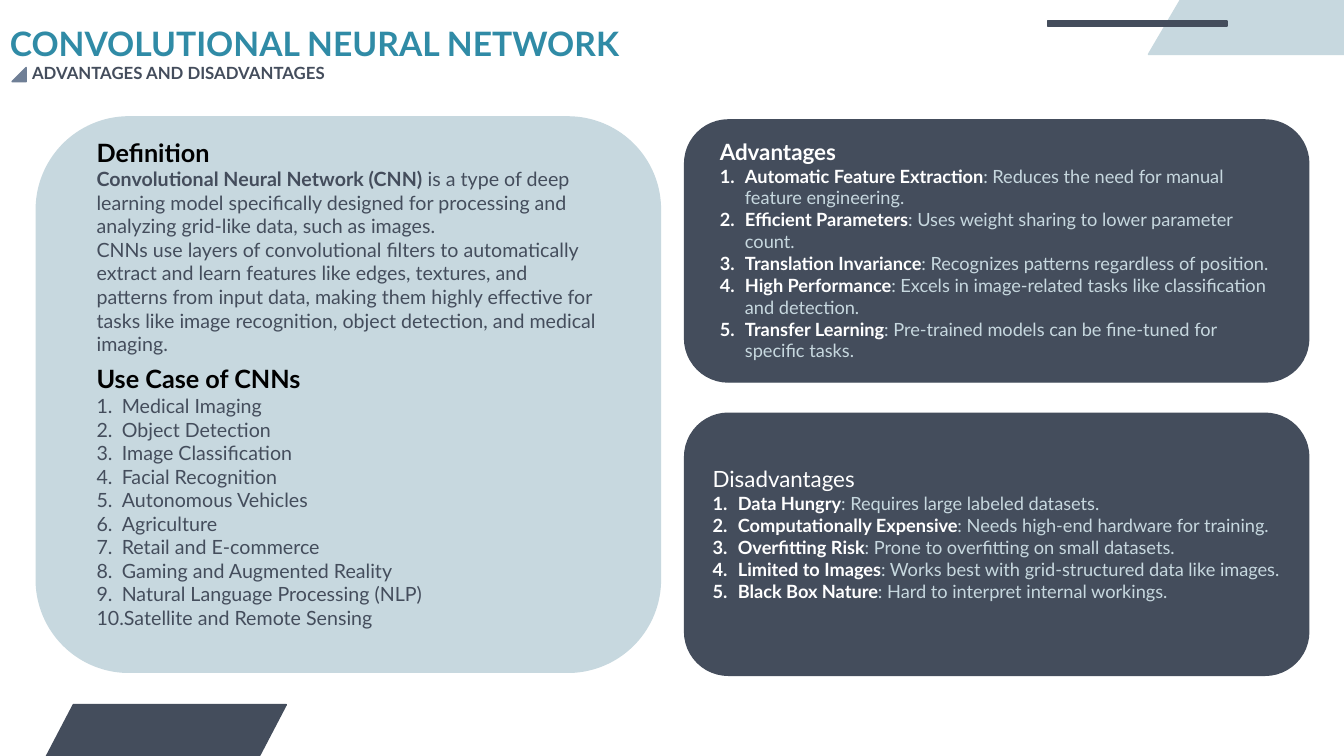
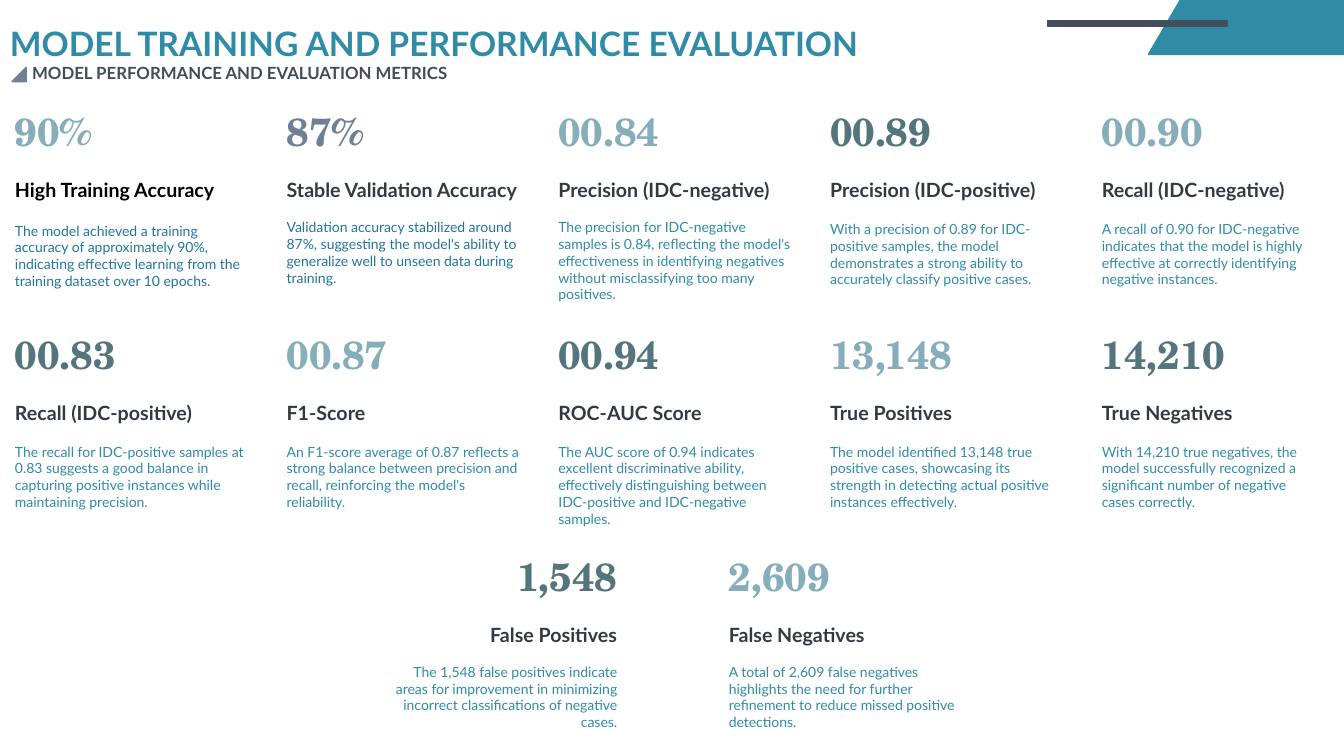
from pptx import Presentation
from pptx.dml.color import RGBColor
from pptx.enum.shapes import MSO_SHAPE
from pptx.enum.text import PP_ALIGN
from pptx.oxml.ns import qn
from pptx.util import Inches, Pt
from lxml import etree

# Colours
TEAL = RGBColor(0x30, 0x8B, 0xA6)
BLUE = RGBColor(0x23, 0x75, 0x9A)
SLATE = RGBColor(0x44, 0x4D, 0x5C)
MIST = RGBColor(0xC7, 0xD8, 0xDF)
STEEL = RGBColor(0x6F, 0x7F, 0x96)
SKY = RGBColor(0x86, 0xAE, 0xBA)
PINE = RGBColor(0x54, 0x75, 0x7C)
INK = RGBColor(0x31, 0x3A, 0x43)
GREY = RGBColor(0x41, 0x4C, 0x58)
BLACK = RGBColor(0, 0, 0)
WHITE = RGBColor(255, 255, 255)

# Text formats
TITLE = {"size": Pt(24), "bold": True}
SUBTITLE = {"size": Pt(12), "bold": True}
HEADING = {"size": Pt(18), "bold": True}
BODY = {"size": Pt(14), "bold": False}
TERM = {"size": Pt(14), "bold": True}
PANEL_HEADING = {"size": Pt(16), "bold": True}
PLAIN_HEADING = {"size": Pt(16), "bold": False}
POINT = {"size": Pt(13), "bold": True}
POINT_DETAIL = {"size": Pt(13), "bold": False}
FIGURE = {"size": Pt(28), "bold": True, "name": "TeX Gyre Schola"}
METRIC = {"size": Pt(14), "bold": True}
REMARK = {"size": Pt(10), "bold": False}


def add_block(slide, preset, box, colour):
    block = slide.shapes.add_shape(preset, *map(Inches, box))
    block.shadow.inherit = False
    block.fill.solid()
    block.fill.fore_color.rgb = colour
    block.line.color.rgb = colour
    block.line.width = Pt(1)
    return block


def add_text(slide, box, paragraphs, align=PP_ALIGN.LEFT):
    """Each paragraph is (runs, space before in points, numbered); a run is (text, format, colour)."""
    frame = slide.shapes.add_textbox(*map(Inches, box)).text_frame
    frame.word_wrap = True
    for index, (runs, gap, numbered) in enumerate(paragraphs):
        paragraph = frame.paragraphs[0] if index == 0 else frame.add_paragraph()
        paragraph.alignment = align
        if numbered:
            properties = paragraph._p.get_or_add_pPr()
            properties.set("marL", str(Inches(0.25)))
            properties.set("indent", str(-Inches(0.25)))
            etree.SubElement(properties, qn("a:buAutoNum"), type="arabicPeriod")
        if gap:
            paragraph.space_before = Pt(gap)
        for words, text_format, colour in runs:
            run = paragraph.add_run()
            run.text = words
            for attribute, value in ({"name": "Lato"} | text_format).items():
                setattr(run.font, attribute, value)
            run.font.color.rgb = colour


prs = Presentation()
prs.slide_width = Inches(13.33)
prs.slide_height = Inches(7.5)

# Shared corner decoration, title and subtitle
headers = [
    ("CONVOLUTIONAL NEURAL NETWORK", "ADVANTAGES AND DISADVANTAGES", MIST, SLATE),
    ("MODEL TRAINING AND PERFORMANCE EVALUATION",
     "MODEL PERFORMANCE AND EVALUATION METRICS", TEAL, GREY),
]
slides = []
for title, subtitle, corner_colour, subtitle_colour in headers:
    slide = prs.slides.add_slide(prs.slide_layouts[6])
    add_block(slide, MSO_SHAPE.FLOWCHART_DATA, (11.39, -0.36, 2.64, 0.9), corner_colour)
    add_block(slide, MSO_SHAPE.RECTANGLE, (10.39, 0.21, 1.78, 0.05), SLATE)
    add_text(slide, (0, 0.18, 10, 0.5), [([(title, TITLE, TEAL)], 0, False)])
    add_text(slide, (0.22, 0.57, 5, 0.3), [([(subtitle, SUBTITLE, subtitle_colour)], 0, False)])
    marker = add_block(slide, MSO_SHAPE.RIGHT_TRIANGLE, (0.12, 0.67, 0.14, 0.14), STEEL)
    marker.rotation = 270
    slides.append(slide)
network_slide, metrics_slide = slides

# Slide 1: panels
add_block(network_slide, MSO_SHAPE.FLOWCHART_DATA, (0.2, 6.99, 2.64, 1.01), SLATE)
add_block(network_slide, MSO_SHAPE.ROUNDED_RECTANGLE, (0.36, 1.16, 6.19, 5.51), MIST)
for panel_top in (1.19, 4.1):
    add_block(network_slide, MSO_SHAPE.ROUNDED_RECTANGLE, (6.79, panel_top, 6.19, 2.6), SLATE)

# Slide 1: definition and use cases
add_text(network_slide, (0.86, 1.31, 5.19, 2.29), [
    ([("Definition", HEADING, BLACK)], 0, False),
    ([("Convolutional Neural Network (CNN)", TERM, SLATE),
      (" is a type of deep learning model specifically designed for processing and "
       "analyzing grid-like data, such as images.", BODY, SLATE)], 0, False),
    ([("CNNs use layers of convolutional filters to automatically extract and learn "
       "features like edges, textures, and patterns from input data, making them highly "
       "effective for tasks like image recognition, object detection, and medical imaging.",
       BODY, SLATE)], 0, False),
])
use_cases = [
    "Medical Imaging", "Object Detection", "Image Classification", "Facial Recognition",
    "Autonomous Vehicles", "Agriculture", "Retail and E-commerce",
    "Gaming and Augmented Reality", "Natural Language Processing (NLP)",
    "Satellite and Remote Sensing",
]
add_text(network_slide, (0.86, 3.56, 4.93, 2.76),
         [([("Use Case of CNNs", HEADING, BLACK)], 0, False)]
         + [([(use_case, BODY, SLATE)], 0, True) for use_case in use_cases])

# Slide 1: advantages and disadvantages
assessments = [
    ("Advantages", PANEL_HEADING, (7.04, 1.32, 5.69, 2.34), [
        ("Automatic Feature Extraction", "Reduces the need for manual feature engineering."),
        ("Efficient Parameters", "Uses weight sharing to lower parameter count."),
        ("Translation Invariance", "Recognizes patterns regardless of position."),
        ("High Performance",
         "Excels in image-related tasks like classification and detection."),
        ("Transfer Learning", "Pre-trained models can be fine-tuned for specific tasks."),
    ]),
    ("Disadvantages", PLAIN_HEADING, (6.97, 4.57, 5.83, 1.67), [
        ("Data Hungry", "Requires large labeled datasets."),
        ("Computationally Expensive", "Needs high-end hardware for training."),
        ("Overfitting Risk", "Prone to overfitting on small datasets."),
        ("Limited to Images", "Works best with grid-structured data like images."),
        ("Black Box Nature", "Hard to interpret internal workings."),
    ]),
]
for heading, heading_format, box, points in assessments:
    add_text(network_slide, box,
             [([(heading, heading_format, WHITE)], 0, False)]
             + [([(point, POINT, WHITE), (f": {detail}", POINT_DETAIL, MIST)], 0, True)
                for point, detail in points])

# Slide 2: metrics as figure, colour, name, gap before the remark, remark
metrics = [
    ("90%", SKY, "High Training Accuracy", 14.4,
     "The model achieved a training accuracy of approximately 90%, indicating effective "
     "learning from the training dataset over 10 epochs."),
    ("87%", STEEL, "Stable Validation Accuracy", 12,
     "Validation accuracy stabilized around 87%, suggesting the model's ability to "
     "generalize well to unseen data during training."),
    ("00.84", SKY, "Precision (IDC-negative)", 12,
     "The precision for IDC-negative samples is 0.84, reflecting the model's effectiveness "
     "in identifying negatives without misclassifying too many positives."),
    ("00.89", PINE, "Precision (IDC-positive)", 13.2,
     "With a precision of 0.89 for IDC-positive samples, the model demonstrates a strong "
     "ability to accurately classify positive cases."),
    ("00.90", SKY, "Recall (IDC-negative)", 13.2,
     "A recall of 0.90 for IDC-negative indicates that the model is highly effective at "
     "correctly identifying negative instances."),
    ("00.83", PINE, "Recall (IDC-positive)", 13.2,
     "The recall for IDC-positive samples at 0.83 suggests a good balance in capturing "
     "positive instances while maintaining precision."),
    ("00.87", SKY, "F1-Score", 13.2,
     "An F1-score average of 0.87 reflects a strong balance between precision and recall, "
     "reinforcing the model's reliability."),
    ("00.94", PINE, "ROC-AUC Score", 13.2,
     "The AUC score of 0.94 indicates excellent discriminative ability, effectively "
     "distinguishing between IDC-positive and IDC-negative samples."),
    ("13,148", SKY, "True Positives", 13.2,
     "The model identified 13,148 true positive cases, showcasing its strength in "
     "detecting actual positive instances effectively."),
    ("14,210", PINE, "True Negatives", 13.2,
     "With 14,210 true negatives, the model successfully recognized a significant number "
     "of negative cases correctly."),
    ("1,548", PINE, "False Positives", 12,
     "The 1,548 false positives indicate areas for improvement in minimizing incorrect "
     "classifications of negative cases."),
    ("2,609", SKY, "False Negatives", 12,
     "A total of 2,609 false negatives highlights the need for further refinement to "
     "reduce missed positive detections."),
]
COLUMNS = 5
column_step = (10.83 - 0.05) / (COLUMNS - 1)
row_tops = (1.02, 3.23, 5.43)
last_row_lefts = (3.72, 7.13)
for index, (figure, figure_colour, metric, gap, remark) in enumerate(metrics):
    row, column = divmod(index, COLUMNS)
    left = last_row_lefts[column] if row == 2 else 0.05 + column * column_step
    width = 2.3 if column == COLUMNS - 1 else 2.5
    align = PP_ALIGN.RIGHT if metric == "False Positives" else PP_ALIGN.LEFT
    metric_colour = BLACK if index == 0 else INK
    remark_colour = BLUE if index < 2 else TEAL
    add_text(metrics_slide, (left, row_tops[row], width, 2), [
        ([(figure, FIGURE, figure_colour)], 0, False),
        ([(metric, METRIC, metric_colour)], 16.8, False),
        ([(remark, REMARK, remark_colour)], gap, False),
    ], align)

prs.save("out.pptx")
